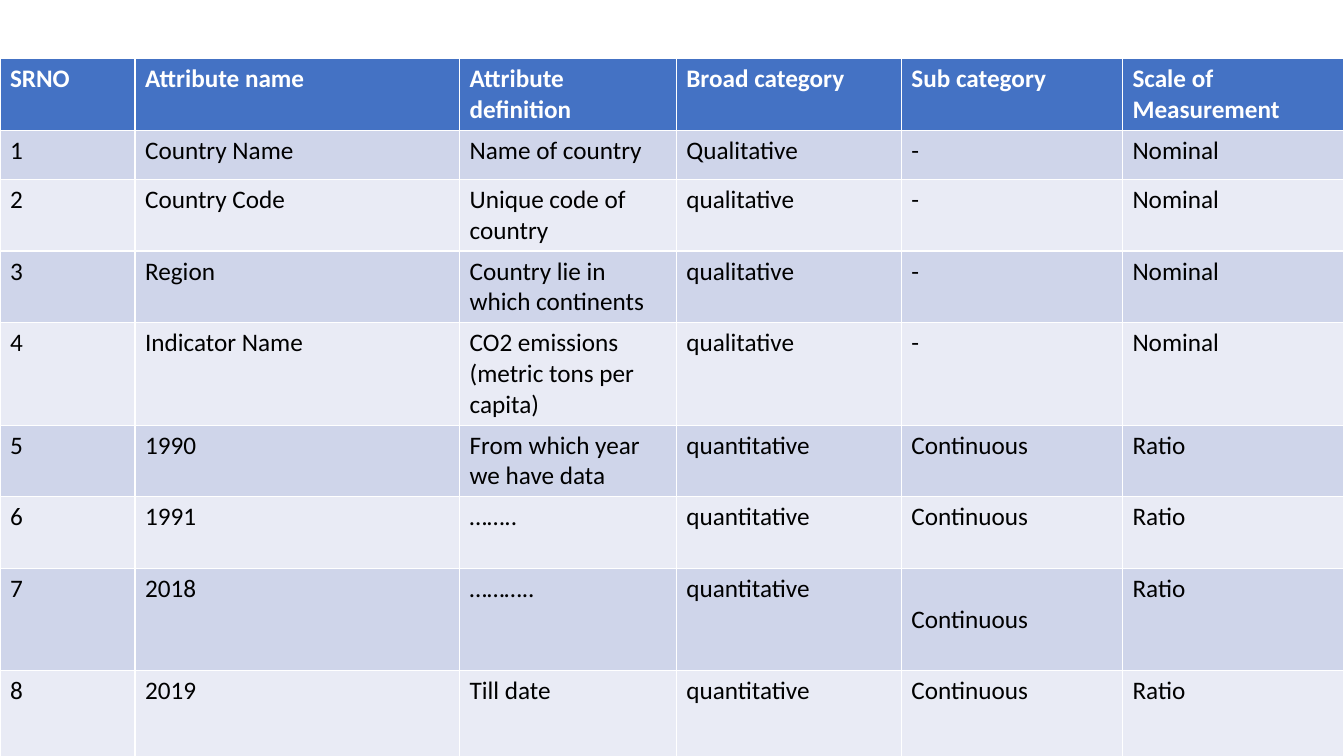
"""Build a slide with a table of dataset attributes and their scales."""
from dataclasses import dataclass

from pptx import Presentation
from pptx.dml.color import RGBColor
from pptx.table import _Cell
from pptx.util import Pt

FONT = "Calibri"
SIZE = 18
LINE = 22
PAD = 3.6
TOP = 42
WIDTHS = (96.5, 231.8, 154.8, 160.8, 157.9, 158.2)
HEAD = "4472C4"
BANDS = ("E9EBF5", "CFD5EA")
WHITE = "FFFFFF"
BLACK = "000000"


@dataclass
class Row:
    height: float
    texts: tuple[str, ...]


QUAL = ("qualitative", "-", "Nominal")
QUANT = ("quantitative", "Continuous", "Ratio")
ROWS = (
    Row(51, ("SRNO", "Attribute name", "Attribute definition",
             "Broad category", "Sub category", "Scale of Measurement")),
    Row(35, ("1", "Country Name", "Name of country", "Qualitative", "-", "Nominal")),
    Row(51, ("2", "Country Code", "Unique code of country", *QUAL)),
    Row(51, ("3", "Region", "Country lie in which continents", *QUAL)),
    Row(73.2, ("4", "Indicator Name", "CO2 emissions (metric tons per capita)", *QUAL)),
    Row(51, ("5", "1990", "From which year we have data", *QUANT)),
    Row(51, ("6", "1991", "……..", *QUANT)),
    Row(73.2, ("7", "2018", "………..", *QUANT)),
    Row(66, ("8", "2019", "Till date", *QUANT)),
)
LOWERED = (7, 4)


def paint(code: str) -> RGBColor:
    return RGBColor.from_string(code)


def write(cell: _Cell, text: str, fill: str, ink: str, bold: bool) -> None:
    cell.text = text
    cell.fill.solid()
    cell.fill.fore_color.rgb = paint(fill)
    font = cell.text_frame.paragraphs[0].font
    font.name = FONT
    font.size = Pt(SIZE)
    font.bold = bold
    font.color.rgb = paint(ink)


def main() -> None:
    deck = Presentation()
    deck.slide_width, deck.slide_height = Pt(960), Pt(540)
    slide = deck.slides.add_slide(deck.slide_layouts[6])
    high = sum(row.height for row in ROWS)
    table = slide.shapes.add_table(
        len(ROWS), len(WIDTHS), Pt(0), Pt(TOP), Pt(sum(WIDTHS)), Pt(high)).table
    for column, width in zip(table.columns, WIDTHS):
        column.width = Pt(width)
    for r, row in enumerate(ROWS):
        table.rows[r].height = Pt(row.height)
        top = r == 0
        fill, ink = (HEAD, WHITE) if top else (BANDS[r % 2], BLACK)
        for c, text in enumerate(row.texts):
            write(table.cell(r, c), text, fill, ink, top)
    table.cell(*LOWERED).margin_top = Pt(PAD + LINE)
    deck.save("out.pptx")


if __name__ == "__main__":
    main()
